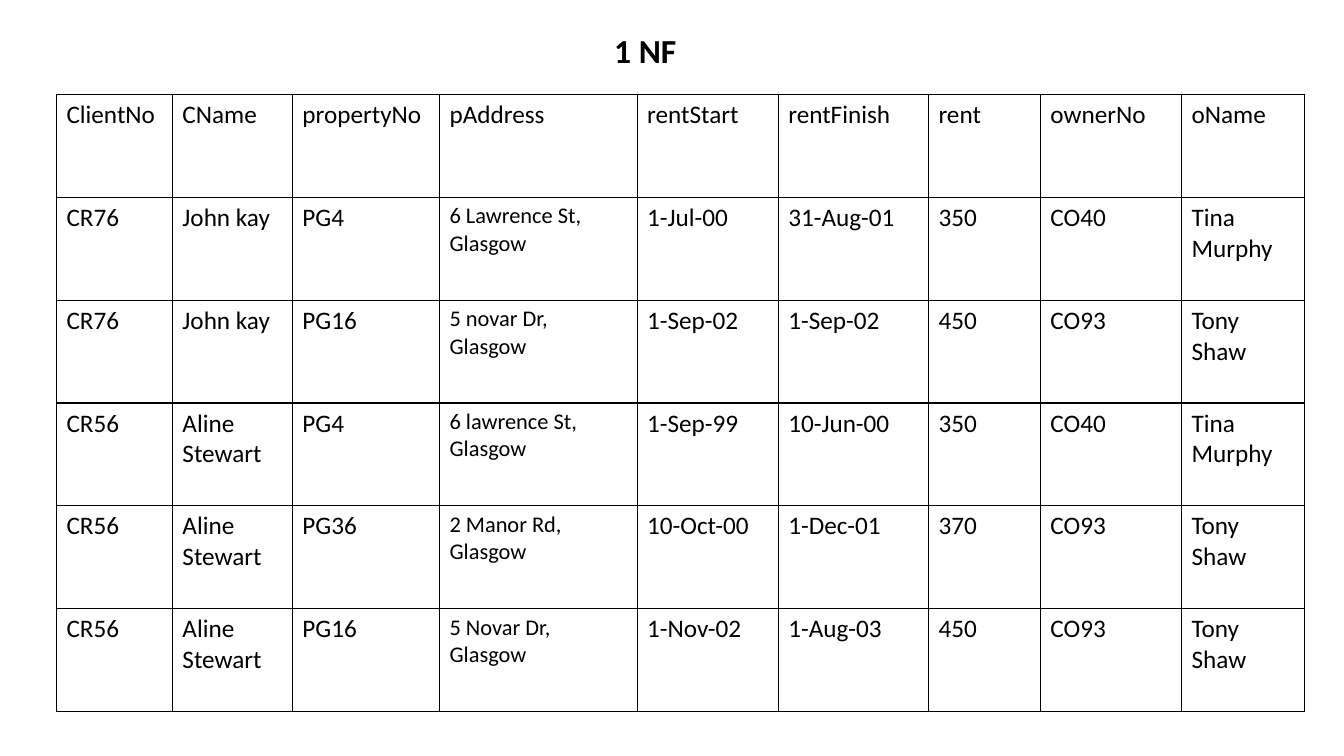
from lxml.etree import SubElement
from pptx import Presentation
from pptx.dml.color import RGBColor
from pptx.enum.text import MSO_ANCHOR, PP_ALIGN
from pptx.oxml.ns import qn
from pptx.util import Inches, Pt

HEADINGS = ["ClientNo", "CName", "propertyNo", "pAddress", "rentStart",
            "rentFinish", "rent", "ownerNo", "oName"]
RENTALS = [
    ["CR76", "John kay", "PG4", "6 Lawrence St, Glasgow", "1-Jul-00",
     "31-Aug-01", "350", "CO40", "Tina Murphy"],
    ["CR76", "John kay", "PG16", "5 novar Dr,\nGlasgow", "1-Sep-02",
     "1-Sep-02", "450", "CO93", "Tony Shaw"],
    ["CR56", "Aline Stewart", "PG4", "6 lawrence St, Glasgow", "1-Sep-99",
     "10-Jun-00", "350", "CO40", "Tina Murphy"],
    ["CR56", "Aline Stewart", "PG36", "2 Manor Rd, Glasgow", "10-Oct-00",
     "1-Dec-01", "370", "CO93", "Tony Shaw"],
    ["CR56", "Aline Stewart", "PG16", "5 Novar Dr,\nGlasgow", "1-Nov-02",
     "1-Aug-03", "450", "CO93", "Tony Shaw"],
]
COLUMN_SHARES = [8.63, 8.93, 10.95, 14.7, 10.5, 11.18, 8.33, 10.5, 9.15]
ROW_SHARE = 13.6
ADDRESS_COLUMN = HEADINGS.index("pAddress")


def colour(value):
    return RGBColor.from_string(value)


class PageBuilder:
    font = "Calibri"
    ink = "000000"
    border_points = 1

    def __init__(self, deck):
        self.deck = deck
        self.page = deck.slides.add_slide(deck.slide_layouts[6])

    def across(self, percent):
        return round(self.deck.slide_width * percent / 100)

    def down(self, percent):
        return round(self.deck.slide_height * percent / 100)

    def set_text(self, frame, text, size, bold=False, align=PP_ALIGN.LEFT):
        frame.text = text
        frame.word_wrap = True
        for para in frame.paragraphs:
            para.alignment = align
            for span in para.runs:
                span.font.name = self.font
                span.font.size = Pt(size)
                span.font.bold = bold
                span.font.color.rgb = colour(self.ink)

    def title(self, text, left, top, width, height):
        box = self.page.shapes.add_textbox(
            self.across(left), self.down(top), self.across(width), self.down(height))
        self.set_text(box.text_frame, text, 24, True, PP_ALIGN.CENTER)

    def outline(self, cell):
        properties = cell._tc.get_or_add_tcPr()
        for side in ("a:lnL", "a:lnR", "a:lnT", "a:lnB"):
            line = SubElement(properties, qn(side), w=str(Pt(self.border_points)))
            fill = SubElement(line, qn("a:solidFill"))
            SubElement(fill, qn("a:srgbClr"), val=self.ink)

    def table(self, rows, left, top, column_shares, row_share):
        table = self.page.shapes.add_table(
            len(rows), len(column_shares), self.across(left), self.down(top),
            self.across(sum(column_shares)), self.down(row_share * len(rows))).table
        table.first_row = table.horz_banding = False
        for column, share in zip(table.columns, column_shares):
            column.width = self.across(share)
        for row_index, values in enumerate(rows):
            table.rows[row_index].height = self.down(row_share)
            for column_index, value in enumerate(values):
                cell = table.cell(row_index, column_index)
                small = row_index > 0 and column_index == ADDRESS_COLUMN
                self.set_text(cell.text_frame, value, 16 if small else 18)
                cell.vertical_anchor = MSO_ANCHOR.TOP
                self.outline(cell)
                cell.fill.background()


def main():
    deck = Presentation()
    deck.slide_width, deck.slide_height = Inches(13.33), Inches(7.5)
    builder = PageBuilder(deck)
    builder.title("1 NF", 2.78, 3.33, 90.47, 6.67)
    builder.table([HEADINGS] + RENTALS, 4.2, 12.53, COLUMN_SHARES, ROW_SHARE)
    deck.save("out.pptx")


if __name__ == "__main__":
    main()
